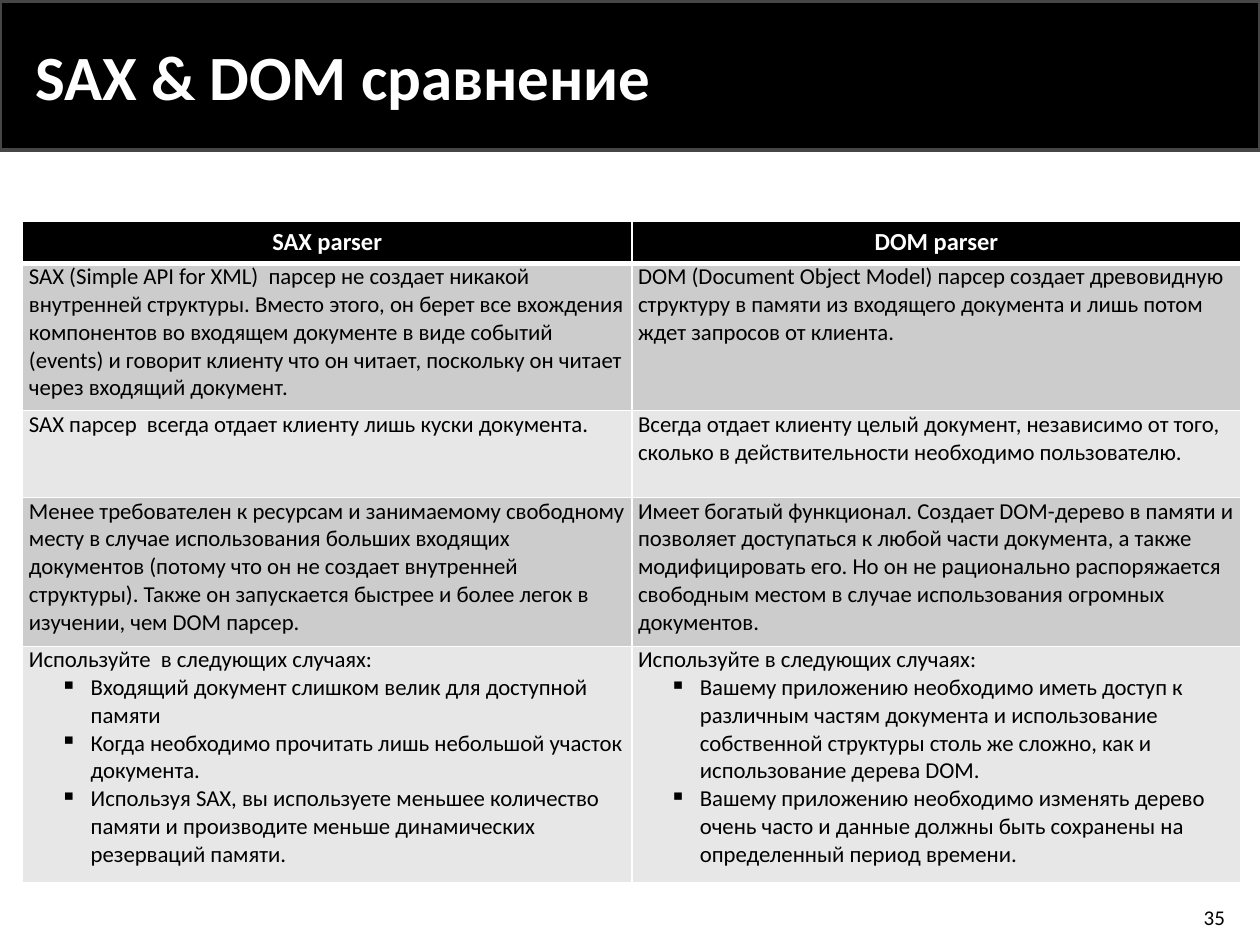
from lxml.etree import SubElement
from pptx import Presentation
from pptx.dml.color import RGBColor
from pptx.enum.shapes import MSO_SHAPE
from pptx.enum.text import MSO_ANCHOR as Anchor, PP_ALIGN as Align
from pptx.oxml.ns import qn
from pptx.util import Inches, Pt

FONT = "Calibri"
COLORS = {
    "black": "000000",
    "white": "FFFFFF",
    "band_edge": "464646",
    "row_dark": "CCCCCC",
    "row_light": "E7E7E7",
}
HEADERS = ["SAX parser", "DOM parser"]
ROW_HEIGHTS = [0.33, 1.17, 0.69, 1.18, 1.88]
# Each cell is a list: a lead paragraph, then its bullets.
COMPARISON = [
    [
        ["SAX (Simple API for XML)  парсер не создает никакой внутренней структуры. "
         "Вместо этого, он берет все вхождения компонентов во входящем документе в виде "
         "событий (events) и говорит клиенту что он читает, поскольку он читает через "
         "входящий документ."],
        ["DOM (Document Object Model) парсер создает древовидную структуру в памяти из "
         "входящего документа и лишь потом ждет запросов от клиента."],
    ],
    [
        ["SAX парсер  всегда отдает клиенту лишь куски документа."],
        ["Всегда отдает клиенту целый документ, независимо от того, сколько в "
         "действительности необходимо пользователю."],
    ],
    [
        ["Менее требователен к ресурсам и занимаемому свободному месту в случае "
         "использования больших входящих документов (потому что он не создает внутренней "
         "структуры). Также он запускается быстрее и более легок в изучении, чем "
         "DOM парсер."],
        ["Имеет богатый функционал. Создает DOM-дерево в памяти и позволяет доступаться "
         "к любой части документа, а также модифицировать его. Но он не рационально "
         "распоряжается свободным местом в случае использования огромных документов."],
    ],
    [
        ["Используйте  в следующих случаях:",
         "Входящий документ слишком велик для доступной памяти",
         "Когда необходимо прочитать лишь небольшой участок документа.",
         "Используя SAX, вы используете меньшее количество памяти и производите меньше "
         "динамических резерваций памяти."],
        ["Используйте в следующих случаях:",
         "Вашему приложению необходимо иметь доступ к различным частям документа и "
         "использование собственной структуры столь же сложно, как и использование "
         "дерева DOM.",
         "Вашему приложению необходимо изменять дерево очень часто и данные должны быть "
         "сохранены на определенный период времени."],
    ],
]


def rgb(name):
    return RGBColor.from_string(COLORS[name])


def add_run(paragraph, text, size, color="black", bold=False):
    run = paragraph.add_run()
    run.text = text
    run.font.name = FONT
    run.font.size = Pt(size)
    run.font.bold = bold
    run.font.color.rgb = rgb(color)


def add_label(slide, box, text, size, align=Align.LEFT, **style):
    frame = slide.shapes.add_textbox(*map(Inches, box)).text_frame
    frame.word_wrap = True
    frame.vertical_anchor = Anchor.MIDDLE
    frame.paragraphs[0].alignment = align
    add_run(frame.paragraphs[0], text, size, **style)


def add_title_band(slide, box, title):
    left, top, _, height = box
    band = slide.shapes.add_shape(MSO_SHAPE.RECTANGLE, *map(Inches, box))
    band.shadow.inherit = False
    band.fill.solid()
    band.fill.fore_color.rgb = rgb("black")
    band.line.color.rgb = rgb("band_edge")
    band.line.width = Pt(2)
    add_label(slide, (left + 0.18, top + 0.09, 8.15, height - 0.18), title, 36,
              color="white", bold=True)


def set_borders(cell, top=1, bottom=1):
    """Draw white cell borders; widths are in points."""
    properties = cell._tc.get_or_add_tcPr()
    for side, width in {"L": 1, "R": 1, "T": top, "B": bottom}.items():
        line = SubElement(properties, qn(f"a:ln{side}"), w=str(Pt(width)))
        fill = SubElement(line, qn("a:solidFill"))
        SubElement(fill, qn("a:srgbClr"), val=COLORS["white"])


def style_cell(cell, fill, **borders):
    cell.margin_left = cell.margin_right = Inches(0.05)
    cell.margin_top = cell.margin_bottom = 0
    set_borders(cell, **borders)
    cell.fill.solid()
    cell.fill.fore_color.rgb = rgb(fill)


def make_bullet(paragraph):
    paragraph.level = 1
    properties = paragraph._p.get_or_add_pPr()
    properties.set("marL", str(Inches(0.49)))
    properties.set("indent", str(Inches(-0.24)))
    SubElement(properties, qn("a:buChar"), char="▪")


def fill_body_cell(cell, texts):
    frame = cell.text_frame
    add_run(frame.paragraphs[0], texts[0], 13)
    for text in texts[1:]:
        bullet = frame.add_paragraph()
        make_bullet(bullet)
        add_run(bullet, text, 13)


def add_comparison_table(slide, box):
    table = slide.shapes.add_table(len(ROW_HEIGHTS), len(HEADERS),
                                   *map(Inches, box)).table
    table.horz_banding = False
    for column in table.columns:
        column.width = Inches(box[2] / len(HEADERS))
    for row, height in zip(table.rows, ROW_HEIGHTS):
        row.height = Inches(height)

    for col, header in enumerate(HEADERS):
        cell = table.cell(0, col)
        style_cell(cell, "black", bottom=3)
        cell.vertical_anchor = Anchor.MIDDLE
        heading = cell.text_frame.paragraphs[0]
        heading.alignment = Align.CENTER
        add_run(heading, header, 14, color="white", bold=True)

    for row, cells in enumerate(COMPARISON, start=1):
        for col, texts in enumerate(cells):
            cell = table.cell(row, col)
            style_cell(cell, "row_dark" if row % 2 else "row_light",
                       top=3 if row == 1 else 1)
            fill_body_cell(cell, texts)


def main():
    deck = Presentation()
    deck.slide_width, deck.slide_height = Inches(10), Inches(7.5)
    slide = deck.slides.add_slide(deck.slide_layouts[6])
    add_title_band(slide, (0, 0.01, 10, 1.18), "SAX & DOM сравнение")
    add_comparison_table(slide, (0.18, 1.76, 9.67, sum(ROW_HEIGHTS)))
    add_label(slide, (7.54, 7.13, 2.28, 0.3), "35", 12, align=Align.RIGHT)
    deck.save("out.pptx")


if __name__ == "__main__":
    main()
